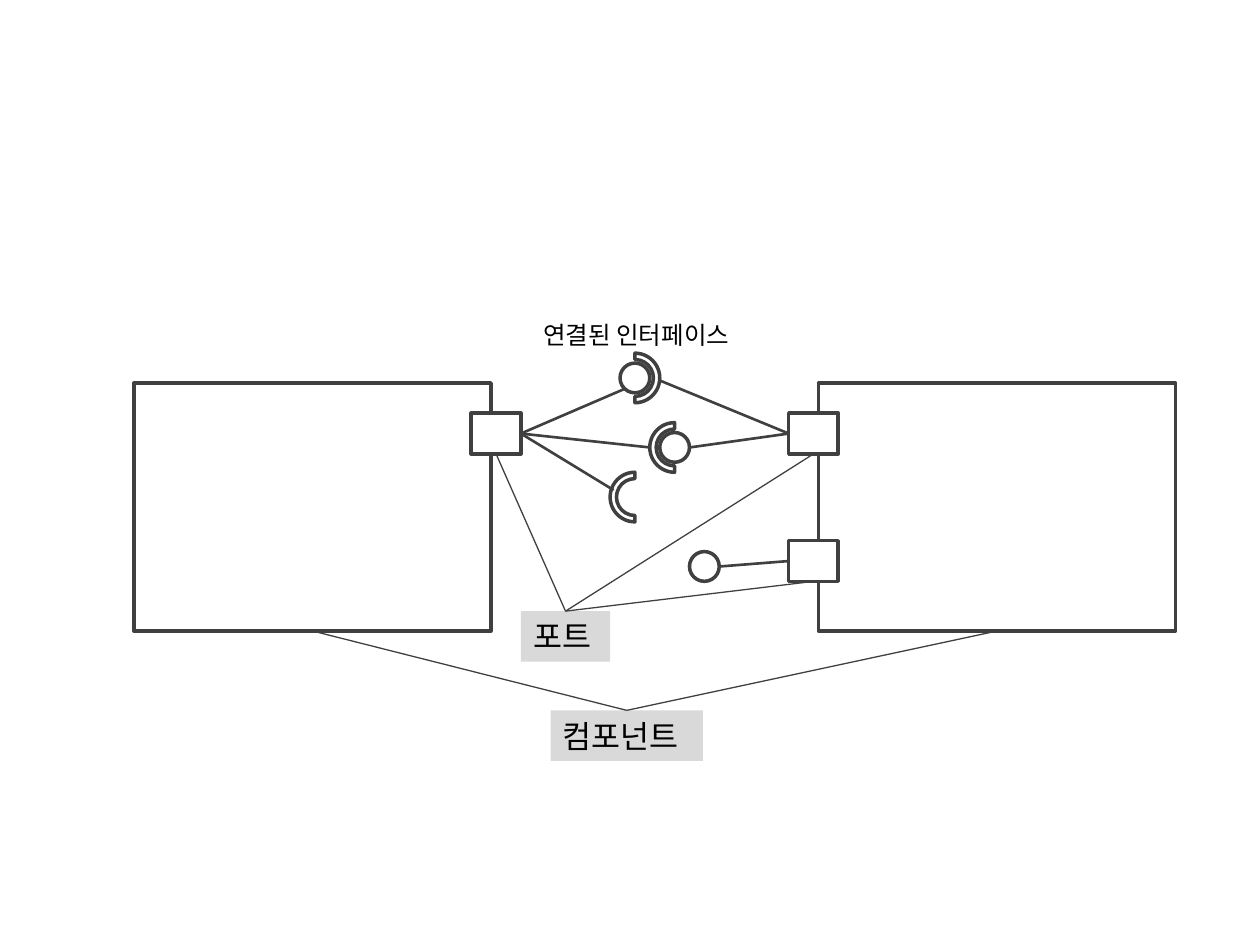
from dataclasses import dataclass

from lxml import etree
from pptx import Presentation
from pptx.dml.color import RGBColor
from pptx.enum import shapes, text
from pptx.oxml.ns import qn
from pptx.util import Cm, Inches, Pt

INK, PAPER, LABEL_FILL = "404040", "FFFFFF", "D9D9D9"
TOP, LEFT, BOTTOM, RIGHT = range(4)
OPENS_LEFT, OPENS_RIGHT = 90, 270


@dataclass
class Box:
    """A rectangle, in centimetres."""
    left: float
    top: float
    width: float
    height: float


@dataclass
class Label:
    words: str
    box: Box
    size: float
    fill: str = ""


@dataclass
class Site:
    """The middle of one side of a rectangle or label."""
    shape: object
    side: int


@dataclass
class Point:
    """A free line end, in centimetres."""
    x: float
    y: float


def colour(value: str) -> RGBColor:
    return RGBColor.from_string(value)


def add_outlined(slide, kind, box: Box):
    shape = slide.shapes.add_shape(
        kind, Cm(box.left), Cm(box.top), Cm(box.width), Cm(box.height))
    shape.shadow.inherit = False
    shape.fill.solid()
    shape.fill.fore_color.rgb = colour(PAPER)
    shape.line.color.rgb = colour(INK)
    shape.line.width = Pt(2)
    return shape


def add_centred(slide, kind, centre: Point, size: float):
    return add_outlined(
        slide, kind, Box(centre.x - size / 2, centre.y - size / 2, size, size))


def add_ball(slide, centre: Point) -> None:
    add_centred(slide, shapes.MSO_SHAPE.OVAL, centre, 0.6)


def add_socket(slide, centre: Point, rotation: int) -> None:
    socket = add_centred(slide, shapes.MSO_SHAPE.BLOCK_ARC, centre, 1)
    socket.rotation = rotation
    for index, value in enumerate((108, 0, 0.128)):
        socket.adjustments[index] = value


def add_label(slide, label: Label):
    box = label.box
    shape = slide.shapes.add_textbox(
        Cm(box.left), Cm(box.top), Cm(box.width), Cm(box.height))
    if label.fill:
        shape.fill.solid()
        shape.fill.fore_color.rgb = colour(label.fill)
    frame = shape.text_frame
    frame.word_wrap = False
    frame.auto_size = text.MSO_AUTO_SIZE.SHAPE_TO_FIT_TEXT
    paragraph = frame.paragraphs[0]
    paragraph.text = label.words
    paragraph.font.name = "Calibri"
    paragraph.font.size = Pt(label.size)
    paragraph.font.color.rgb = colour("000000")
    return shape


def add_line(slide, start: Site, end: Site | Point, width: float) -> None:
    line = slide.shapes.add_connector(shapes.MSO_CONNECTOR.STRAIGHT, 0, 0, 0, 0)
    line.begin_connect(start.shape, start.side)
    if isinstance(end, Site):
        line.end_connect(end.shape, end.side)
    else:
        line.end_x, line.end_y = Cm(end.x), Cm(end.y)
    line.line.color.rgb = colour(INK)
    line.line.width = Pt(width)
    etree.SubElement(line._element.spPr, qn("a:effectLst"))


def main() -> None:
    deck = Presentation()
    deck.slide_width, deck.slide_height = Inches(10), Inches(7.5)
    slide = deck.slides.add_slide(deck.slide_layouts[6])

    # Components and the ports on their facing edges
    rectangle = shapes.MSO_SHAPE.RECTANGLE
    components = [add_outlined(slide, rectangle, Box(x, 7.72, 7.2, 5))
                  for x in (2.7, 16.5)]
    left_port, upper_port, lower_port = ports = [
        add_outlined(slide, rectangle, Box(x, y, 1, 0.82))
        for x, y in ((9.5, 8.33), (15.9, 8.33), (15.9, 10.9))]

    # Interfaces: balls are provided, sockets are required
    upper, middle = Point(12.8, 7.62), Point(13.6, 9.02)
    open_socket, open_ball = Point(12.8, 10.02), Point(14.2, 11.42)
    for centre in (upper, middle, open_ball):
        add_ball(slide, centre)
    for centre, rotation in ((upper, OPENS_LEFT), (middle, OPENS_RIGHT),
                             (open_socket, OPENS_RIGHT)):
        add_socket(slide, centre, rotation)

    # Lines from ports to interfaces
    for port, side, end in (
            (left_port, RIGHT, Point(12.59, 7.84)),
            (left_port, RIGHT, Point(13.1, 9.02)),
            (left_port, RIGHT, Point(12.37, 9.88)),
            (upper_port, LEFT, Point(13.3, 7.67)),
            (upper_port, LEFT, Point(13.9, 9.02)),
            (lower_port, LEFT, Point(14.5, 11.42))):
        add_line(slide, Site(port, side), end, 1.5)

    # Labels and the lines to what they name
    for label, named in (
            (Label("컴포넌트", Box(11.1, 14.32, 3.07, 1.02), 18, LABEL_FILL), components),
            (Label("포트", Box(10.5, 12.32, 1.8, 1.02), 18, LABEL_FILL), ports),
            (Label("연결된 인터페이스", Box(10.7, 6.32, 4.62, 0.86), 14), [])):
        caption = add_label(slide, label)
        for part in named:
            add_line(slide, Site(caption, TOP), Site(part, BOTTOM), 0.75)

    deck.save("out.pptx")


if __name__ == "__main__":
    main()
